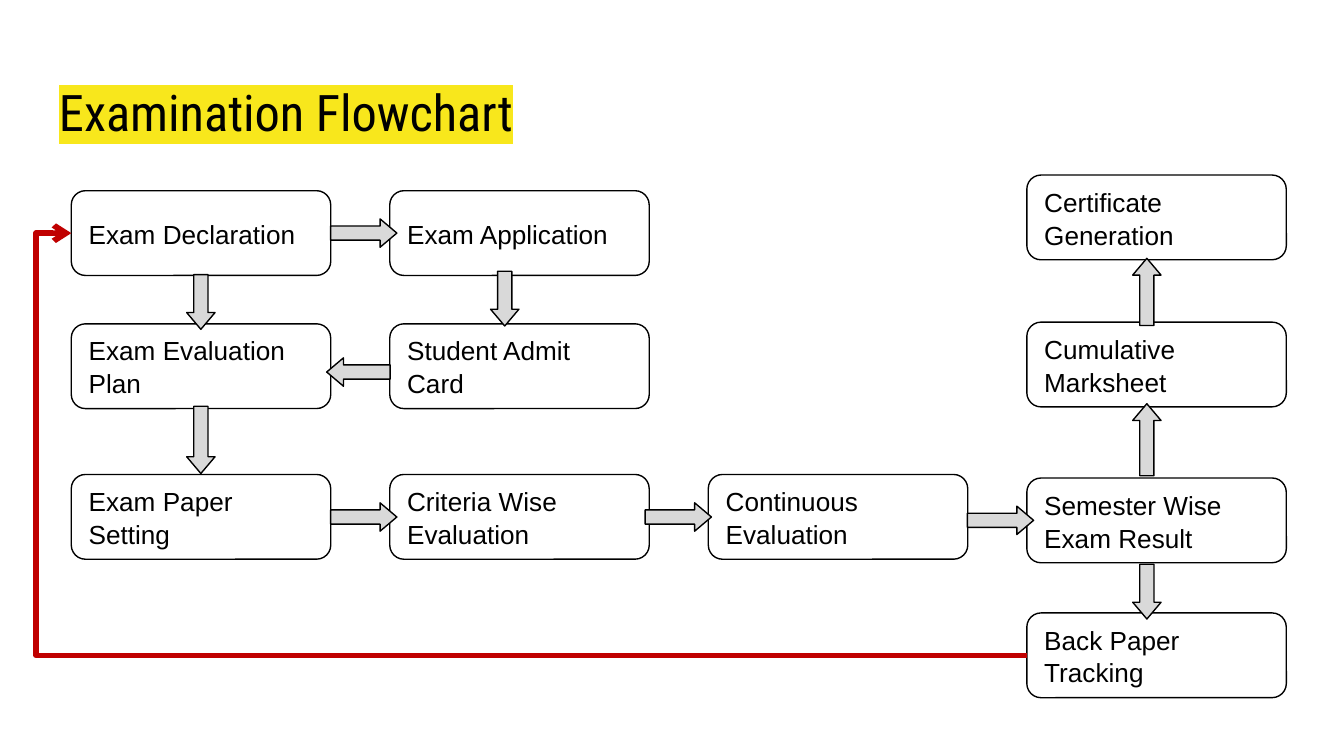
import pptx
import pptx.util
import pptx.dml.color
import pptx.enum.shapes
import pptx.enum.text
import pptx.oxml.ns
import lxml.etree

Pt = pptx.util.Pt
qn = pptx.oxml.ns.qn
SHAPE = pptx.enum.shapes.MSO_SHAPE
ANCHOR = pptx.enum.text.MSO_ANCHOR
ALIGN = pptx.enum.text.PP_ALIGN


def rgb(value):
    return pptx.dml.color.RGBColor.from_string(value)


def add_outlined(kind, left, top, width, height, fill):
    outlined = slide.shapes.add_shape(kind, Pt(left), Pt(top), Pt(width), Pt(height))
    outlined.shadow.inherit = False
    outlined.fill.solid()
    outlined.fill.fore_color.rgb = rgb(fill)
    outlined.line.color.rgb = rgb("000000")
    outlined.line.width = Pt(0.75)
    return outlined


presentation = pptx.Presentation()
presentation.slide_width, presentation.slide_height = Pt(720), Pt(405)
slide = presentation.slides.add_slide(presentation.slide_layouts[6])

heading = slide.shapes.add_textbox(Pt(24.5), Pt(33.8), Pt(671), Pt(45.4))
heading_frame = {"word_wrap": True, "vertical_anchor": ANCHOR.TOP, "margin_left": Pt(7.2),
                 "margin_right": Pt(7.2), "margin_top": Pt(9.6), "margin_bottom": 0}
for key, value in heading_frame.items():
    setattr(heading.text_frame, key, value)
heading_run = heading.text_frame.paragraphs[0].add_run()
heading_run.text = "Examination Flowchart"
heading_run.font.size = Pt(27)
heading_run.font.color.rgb = rgb("000000")
highlight = lxml.etree.Element(qn("a:highlight"))
lxml.etree.SubElement(highlight, qn("a:srgbClr"), val="F8E71C")
heading_run.font._element.find(qn("a:solidFill")).addnext(highlight)
heading_run.font.name = "Roboto Condensed"

step_left, step_pitch = 38.2, 170.64
step_width, step_height = 139, 45.4
steps = [
    (0, 102.2, "Exam Declaration"),
    (1, 102.2, "Exam Application"),
    (0, 173.5, "Exam Evaluation Plan"),
    (1, 173.5, "Student Admit Card"),
    (0, 254.2, "Exam Paper Setting"),
    (1, 254.2, "Criteria Wise Evaluation"),
    (2, 254.2, "Continuous\nEvaluation"),
    (3, 93.8, "Certificate Generation"),
    (3, 172.6, "Cumulative Marksheet"),
    (3, 256.1, "Semester Wise Exam Result"),
    (3, 328.4, "Back Paper Tracking"),
]
step_frame = {"word_wrap": True, "vertical_anchor": ANCHOR.MIDDLE, "margin_left": Pt(7.2),
              "margin_right": Pt(7.2), "margin_top": Pt(7.2), "margin_bottom": Pt(7.2)}
step_font = {"name": "Arial", "size": Pt(14)}
for column, top, wording in steps:
    step = add_outlined(SHAPE.ROUNDED_RECTANGLE, step_left + column * step_pitch, top,
                        step_width, step_height, "FFFFFF")
    for key, value in step_frame.items():
        setattr(step.text_frame, key, value)
    step.text_frame.text = wording
    for line in step.text_frame.paragraphs:
        line.alignment = ALIGN.LEFT
        line.line_spacing = 1.05
        for key, value in step_font.items():
            setattr(line.runs[0].font, key, value)
        line.runs[0].font.color.rgb = rgb("000000")

arrow_width = 15.2
arrows = [
    (194.9, 124.9, 35.5, 0),
    (194.9, 277, 35.5, 0),
    (363.4, 277, 35.5, 0),
    (536, 278.8, 35.5, 0),
    (192, 199.3, 34, 180),
    (107.6, 161.8, 29.3, 90),
    (107.6, 235.7, 36, 90),
    (270.4, 160, 29.3, 90),
    (614.4, 317, 29.3, 90),
    (614.4, 235.6, 38.6, 270),
    (614.4, 156.4, 36, 270),
]
for center_x, center_y, length, turn in arrows:
    arrow = add_outlined(SHAPE.RIGHT_ARROW, center_x - length / 2, center_y - arrow_width / 2,
                         length, arrow_width, "D9D9D9")
    arrow.adjustments[1] = 0.59
    arrow.rotation = turn

return_path = slide.shapes.add_connector(
    pptx.enum.shapes.MSO_CONNECTOR.ELBOW,
    Pt(step_left), Pt(124.9), Pt(step_left + 3 * step_pitch), Pt(351.1))
return_path.line.color.rgb = rgb("C00000")
return_path.line.width = Pt(3)
return_properties = return_path._element.spPr
return_properties.find(qn("a:xfrm")).set("rot", "10800000")
bend = return_properties.find(qn("a:prstGeom")).find(qn("a:avLst"))
lxml.etree.SubElement(bend, qn("a:gd"), name="adj1", fmla="val 103700")
lxml.etree.SubElement(return_properties.find(qn("a:ln")), qn("a:tailEnd"), type="arrow")
lxml.etree.SubElement(return_properties, qn("a:effectLst"))

presentation.save("out.pptx")
